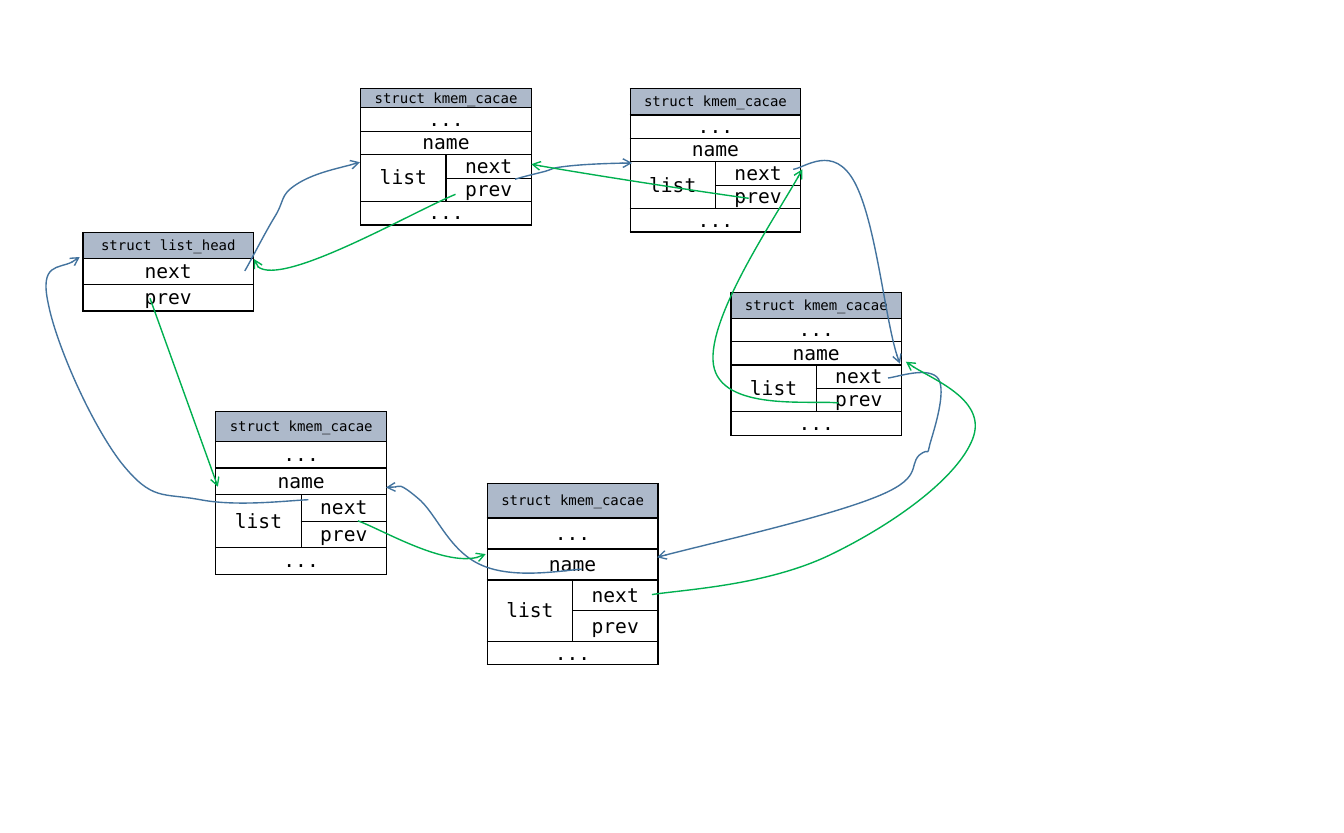
from dataclasses import dataclass

from pptx import Presentation
from pptx import util as u
from pptx.dml.color import RGBColor
from pptx.enum import shapes, text
from pptx.oxml import ns, xmlchemy

HEADER_FILL = RGBColor(0xAD, 0xB9, 0xCA)
BLACK = RGBColor(0, 0, 0)
NEXT_BLUE = RGBColor(0x43, 0x73, 0x9E)
PREV_GREEN = RGBColor(0x00, 0xB0, 0x50)
FONT = "DejaVu Sans Mono"
COLUMN = 2.15
CURVE_STEPS = 24

Point = tuple[float, float]


@dataclass
class Struct:
    """A struct table; an entry of two or more words is split over the columns."""
    left: float
    top: float
    heights: list[float]
    title: str = "struct kmem_cacae"
    fields: tuple[str, ...] = ("...", "name", "list", "", "...")


@dataclass
class Link:
    """An arrow through cubic curves: a start, then three points per curve."""
    color: RGBColor
    points: list[Point]


def cache_heights(header: float, field: float, last: float) -> list[float]:
    return [header, *[field] * 4, last]


STRUCTS = [
    Struct(2.09, 5.86, [0.66] * 3, "struct list_head", ("next", "prev")),
    Struct(9.09, 2.24, cache_heights(0.48, 0.59, 0.59)),
    Struct(18.42, 7.37, cache_heights(0.65, 0.59, 0.59)),
    Struct(12.28, 12.19, cache_heights(0.87, 0.78, 0.58)),
    Struct(5.44, 10.38, cache_heights(0.75, 0.67, 0.67)),
    Struct(15.88, 2.24, cache_heights(0.66, 0.59, 0.59)),
]

LINKS = [
    Link(NEXT_BLUE, [(6.17, 6.83), (6.32, 6.58), (6.65, 5.92), (6.91, 5.49),
                     (7.19, 5.05), (7.04, 4.93), (7.47, 4.65),
                     (7.9, 4.37), (8.76, 4.19), (9.07, 4.09)]),
    Link(NEXT_BLUE, [(12.98, 4.52), (13.13, 4.47), (13.46, 4.39), (13.74, 4.32),
                     (14, 4.24), (13.87, 4.24), (14.3, 4.19),
                     (14.73, 4.14), (15.6, 4.11), (15.93, 4.11)]),
    Link(NEXT_BLUE, [(19.99, 4.27), (20.27, 4.24), (21.01, 3.61), (21.54, 4.6),
                     (22.07, 5.59), (22.33, 8.33), (22.68, 9.17)]),
    Link(NEXT_BLUE, [(22.38, 9.53), (22.63, 9.5), (23.42, 9.22), (23.65, 9.55),
                     (23.85, 9.88), (23.55, 10.8), (23.44, 11.18),
                     (23.34, 11.58), (23.47, 11.23), (23.16, 11.48),
                     (22.89, 11.76), (23.29, 12.07), (21.97, 12.57),
                     (20.65, 13.08), (17.37, 13.82), (16.56, 14.05)]),
    Link(NEXT_BLUE, [(14.66, 14.35), (14.17, 14.38), (12.95, 14.61), (12.14, 14.25),
                     (11.3, 13.89), (11, 12.93), (10.52, 12.55),
                     (10.03, 12.14), (9.86, 12.32), (9.73, 12.29)]),
    Link(NEXT_BLUE, [(7.77, 12.6), (7.26, 12.62), (5.99, 12.78), (5.05, 12.6),
                     (4.09, 12.42), (3.84, 12.65), (3.05, 11.66),
                     (2.29, 10.67), (1.42, 8.69), (1.22, 7.67),
                     (0.99, 6.63), (1.65, 6.81), (2.01, 6.48)]),
    Link(PREV_GREEN, [(16.43, 14.99), (17.27, 14.86), (19.35, 14.76), (20.96, 13.97),
                      (22.58, 13.18), (24.13, 12.04), (24.51, 11.07),
                      (24.89, 10.11), (23.24, 9.45), (22.83, 9.12)]),
    Link(PREV_GREEN, [(21.13, 10.16), (20.45, 10.08), (18.16, 10.39), (17.98, 9.19),
                      (17.81, 8.03), (19.71, 5.23), (20.22, 4.27)]),
    Link(PREV_GREEN, [(18.87, 5), (17.75, 4.85), (14.45, 4.34), (13.39, 4.14)]),
    Link(PREV_GREEN, [(11.48, 4.9), (10.36, 5.36), (6.53, 7.59), (6.4, 6.53)]),
    Link(PREV_GREEN, [(3.78, 7.52), (5.49, 12.27)]),
    Link(PREV_GREEN, [(9.02, 13.13), (9.65, 13.36), (11.43, 14.43), (12.24, 13.97)]),
]


def write(cell, words: str, *, size: float = 14, color: RGBColor = BLACK) -> None:
    cell.vertical_anchor = text.MSO_ANCHOR.MIDDLE
    paragraph = cell.text_frame.paragraphs[0]
    paragraph.alignment = text.PP_ALIGN.CENTER
    run = paragraph.add_run()
    run.text = words
    run.font.name, run.font.size = FONT, u.Pt(size)
    run.font.color.rgb = color


def format_cell(cell, fill: RGBColor | None) -> None:
    """Clear the margins, set the fill and rule all four sides."""
    cell.margin_left = cell.margin_right = cell.margin_top = cell.margin_bottom = 0
    if fill is None:
        cell.fill.background()
    else:
        cell.fill.solid()
        cell.fill.fore_color.rgb = fill
    properties = cell._tc.get_or_add_tcPr()
    for position, side in enumerate(("a:lnL", "a:lnR", "a:lnT", "a:lnB")):
        border = xmlchemy.OxmlElement(side)
        border.set("w", str(u.Pt(1)))
        ink = xmlchemy.OxmlElement("a:solidFill")
        shade = xmlchemy.OxmlElement("a:srgbClr")
        shade.set("val", str(BLACK))
        ink.append(shade)
        border.append(ink)
        properties.insert(position, border)


def draw_struct(slide, struct: Struct) -> None:
    table = slide.shapes.add_table(
        len(struct.heights), 2, u.Cm(struct.left), u.Cm(struct.top),
        u.Cm(2 * COLUMN), u.Cm(sum(struct.heights))).table
    table.first_row = table.horz_banding = False
    for column in table.columns:
        column.width = u.Cm(COLUMN)
    for row, height in zip(table.rows, struct.heights):
        row.height = u.Cm(height)
        for cell in row.cells:
            format_cell(cell, HEADER_FILL if row is table.rows[0] else None)
    for cell in table.rows[0].cells:
        cell.fill.solid()
        cell.fill.fore_color.rgb = HEADER_FILL

    table.cell(0, 0).merge(table.cell(0, 1))
    write(table.cell(0, 0), struct.title, size=10)
    for row, field in enumerate(struct.fields, start=1):
        if field == "list":
            table.cell(row, 0).merge(table.cell(row + 1, 0))
            write(table.cell(row, 1), "next")
            write(table.cell(row + 1, 1), "prev")
        elif field:
            table.cell(row, 0).merge(table.cell(row, 1))
        if field:
            write(table.cell(row, 0), field)


def sample(points: list[Point]) -> list[Point]:
    """Points along the curves, which give the outline its true extent."""
    sampled = []
    for first in range(0, len(points) - 1, 3):
        for step in range(1, CURVE_STEPS + 1):
            t = step / CURVE_STEPS
            weights = ((1 - t) ** 3, 3 * t * (1 - t) ** 2, 3 * t * t * (1 - t), t ** 3)
            curve = points[first:first + 4]
            sampled.append(tuple(round(sum(w * p[axis] for w, p in zip(weights, curve)))
                                 for axis in (0, 1)))
    return sampled


def add_curve(slide, points: list[Point]):
    builder = slide.shapes.build_freeform(*points[0])
    builder.add_line_segments(sample(points), close=False)
    curve = builder.convert_to_shape()
    curve.fill.background()
    curve.shadow.inherit = False
    outline = curve._element.spPr.find(".//" + ns.qn("a:path"))
    for segment in outline.findall(ns.qn("a:lnTo")):
        outline.remove(segment)
    for first in range(1, len(points), 3):
        bezier = xmlchemy.OxmlElement("a:cubicBezTo")
        for x, y in points[first:first + 3]:
            control = xmlchemy.OxmlElement("a:pt")
            control.set("x", str(x - curve.left))
            control.set("y", str(y - curve.top))
            bezier.append(control)
        outline.append(bezier)
    return curve


def draw_link(slide, link: Link) -> None:
    points = [(u.Cm(x), u.Cm(y)) for x, y in link.points]
    straight = len(points) == 2
    if straight:
        arrow = slide.shapes.add_connector(
            shapes.MSO_CONNECTOR.STRAIGHT, *points[0], *points[1])
    else:
        arrow = add_curve(slide, points)
    arrow.line.color.rgb = link.color
    arrow.line.width = u.Pt(1)
    tip = xmlchemy.OxmlElement("a:tailEnd")
    tip.set("type", "arrow")
    arrow.line._get_or_add_ln().append(tip)
    if straight:
        arrow._element.spPr.append(xmlchemy.OxmlElement("a:effectLst"))


def main() -> None:
    deck = Presentation()
    deck.slide_width, deck.slide_height = u.Cm(33.87), u.Cm(21)
    slide = deck.slides.add_slide(deck.slide_layouts[6])
    for struct in STRUCTS:
        draw_struct(slide, struct)
    for link in LINKS:
        draw_link(slide, link)
    deck.save("out.pptx")


if __name__ == "__main__":
    main()
